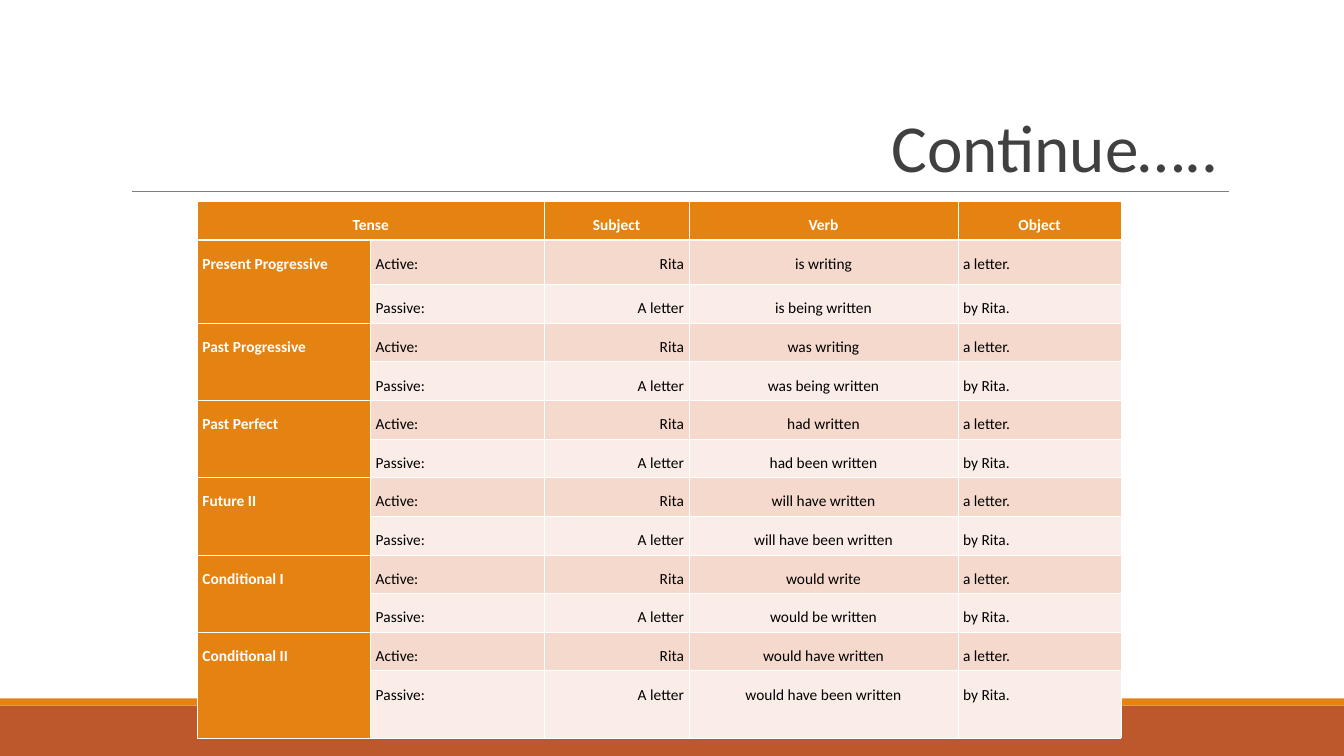
from dataclasses import dataclass

from lxml import etree
from pptx import Presentation
from pptx.dml.color import RGBColor
from pptx.enum.shapes import MSO_CONNECTOR, MSO_SHAPE
from pptx.enum.text import MSO_ANCHOR, MSO_AUTO_SIZE, PP_ALIGN as Align
from pptx.oxml.ns import qn
from pptx.util import Inches, Pt


@dataclass(frozen=True)
class Theme:
    font: str = "Calibri"
    title_size: float = 48
    table_size: float = 11
    title: str = "404040"
    text: str = "000000"
    white: str = "FFFFFF"
    accent: str = "E48312"
    footer: str = "BD582C"
    rule: str = "7F7F7F"
    active: str = "F5D9CC"
    passive: str = "FAEDE7"
    thin: float = 0.45
    thick: float = 1.47


THEME = Theme()

HEADERS = ["Tense", "", "Subject", "Verb", "Object"]
TENSES = [
    ("Present Progressive", "is writing", "is being written"),
    ("Past Progressive", "was writing", "was being written"),
    ("Past Perfect", "had written", "had been written"),
    ("Future II", "will have written", "will have been written"),
    ("Conditional I", "would write", "would be written"),
    ("Conditional II", "would have written", "would have been written"),
]
COLUMN_WIDTHS = [1.72, 1.72, 1.44, 2.67, 1.62]
COLUMN_ALIGNS = [Align.LEFT, Align.LEFT, Align.RIGHT, Align.CENTER, Align.LEFT]
ROW_HEIGHTS = [0.35, 0.44] + [0.37] * 10 + [0.67]


def color(value):
    return RGBColor.from_string(value)


def write(frame, text, size, font_color, align, spacing, bold=False):
    paragraph = frame.paragraphs[0]
    paragraph.alignment = align
    paragraph.line_spacing = spacing
    run = paragraph.add_run()
    run.text = text
    run.font.name = THEME.font
    run.font.size = Pt(size)
    run.font.bold = bold
    run.font.color.rgb = color(font_color)


def add_band(slide, left, top, width, height, fill):
    band = slide.shapes.add_shape(
        MSO_SHAPE.RECTANGLE, Inches(left), Inches(top), Inches(width), Inches(height))
    band.shadow.inherit = False
    band.fill.solid()
    band.fill.fore_color.rgb = color(fill)
    band.line.fill.background()


def add_footer(slide, left, top, width, height):
    """Place a thin accent strip above a solid band."""
    strip = 0.07
    add_band(slide, left, top + strip, width, height - strip, THEME.footer)
    add_band(slide, left, top, width, strip, THEME.accent)


def add_title(slide, text, left, top, width, height):
    """Place the title and the rule along its lower edge."""
    title = slide.shapes.title
    title.left, title.top = Inches(left), Inches(top)
    title.width, title.height = Inches(width), Inches(height)
    frame = title.text_frame
    frame.auto_size = MSO_AUTO_SIZE.NONE
    frame.word_wrap = True
    frame.vertical_anchor = MSO_ANCHOR.BOTTOM
    write(frame, text, THEME.title_size, THEME.title, Align.RIGHT, 0.85)

    bottom = Inches(top + height)
    rule = slide.shapes.add_connector(
        MSO_CONNECTOR.STRAIGHT, Inches(left + 0.11), bottom, Inches(left + width), bottom)
    rule.line.color.rgb = color(THEME.rule)
    rule.line.width = Pt(0.5)
    etree.SubElement(rule._element.spPr, qn("a:effectLst"))


def set_borders(cell, top, bottom):
    """Draw white borders; they must precede the cell's fill in the XML."""
    properties = cell._tc.get_or_add_tcPr()
    widths = {"lnL": THEME.thin, "lnR": THEME.thin, "lnT": top, "lnB": bottom}
    for side, width in widths.items():
        line = etree.SubElement(properties, qn(f"a:{side}"), w=str(Pt(width)))
        fill = etree.SubElement(line, qn("a:solidFill"))
        etree.SubElement(fill, qn("a:srgbClr"), val=THEME.white)


def format_cell(cell, text, row, column):
    header = row == 0
    heading = header or column == 0
    set_borders(cell, THEME.thick if row == 1 else THEME.thin,
                THEME.thick if header else THEME.thin)
    cell.margin_left = cell.margin_right = Inches(0.05)
    cell.margin_top = cell.margin_bottom = Inches(0.05)
    cell.vertical_anchor = MSO_ANCHOR.MIDDLE if header else MSO_ANCHOR.TOP
    stripe = THEME.active if row % 2 else THEME.passive
    cell.fill.solid()
    cell.fill.fore_color.rgb = color(THEME.accent if heading else stripe)
    if text:
        write(cell.text_frame, text, THEME.table_size,
              THEME.white if heading else THEME.text,
              Align.CENTER if header else COLUMN_ALIGNS[column], 1.5, heading)


def add_tense_table(slide, left, top, width, height):
    rows = [HEADERS]
    for tense, active, passive in TENSES:
        rows.append([tense, "Active:", "Rita", active, "a letter."])
        rows.append(["", "Passive:", "A letter", passive, "by Rita."])
    table = slide.shapes.add_table(
        len(rows), len(HEADERS), Inches(left), Inches(top), Inches(width), Inches(height)).table
    for column, column_width in zip(table.columns, COLUMN_WIDTHS):
        column.width = Inches(column_width)
    for row, row_height in zip(table.rows, ROW_HEIGHTS):
        row.height = Inches(row_height)
    for row, values in enumerate(rows):
        for column, text in enumerate(values):
            format_cell(table.cell(row, column), text, row, column)
    table.cell(0, 0).merge(table.cell(0, 1))
    for row in range(1, len(rows), 2):
        table.cell(row, 0).merge(table.cell(row + 1, 0))


def main():
    presentation = Presentation()
    presentation.slide_width = Inches(13.34)
    presentation.slide_height = Inches(7.5)
    slide = presentation.slides.add_slide(presentation.slide_layouts[5])
    add_footer(slide, 0, 6.93, 13.34, 0.57)
    add_title(slide, "Continue…..", 1.2, 0.31, 11, 1.59)
    add_tense_table(slide, 1.96, 2, sum(COLUMN_WIDTHS), sum(ROW_HEIGHTS))
    presentation.save("out.pptx")


if __name__ == "__main__":
    main()
